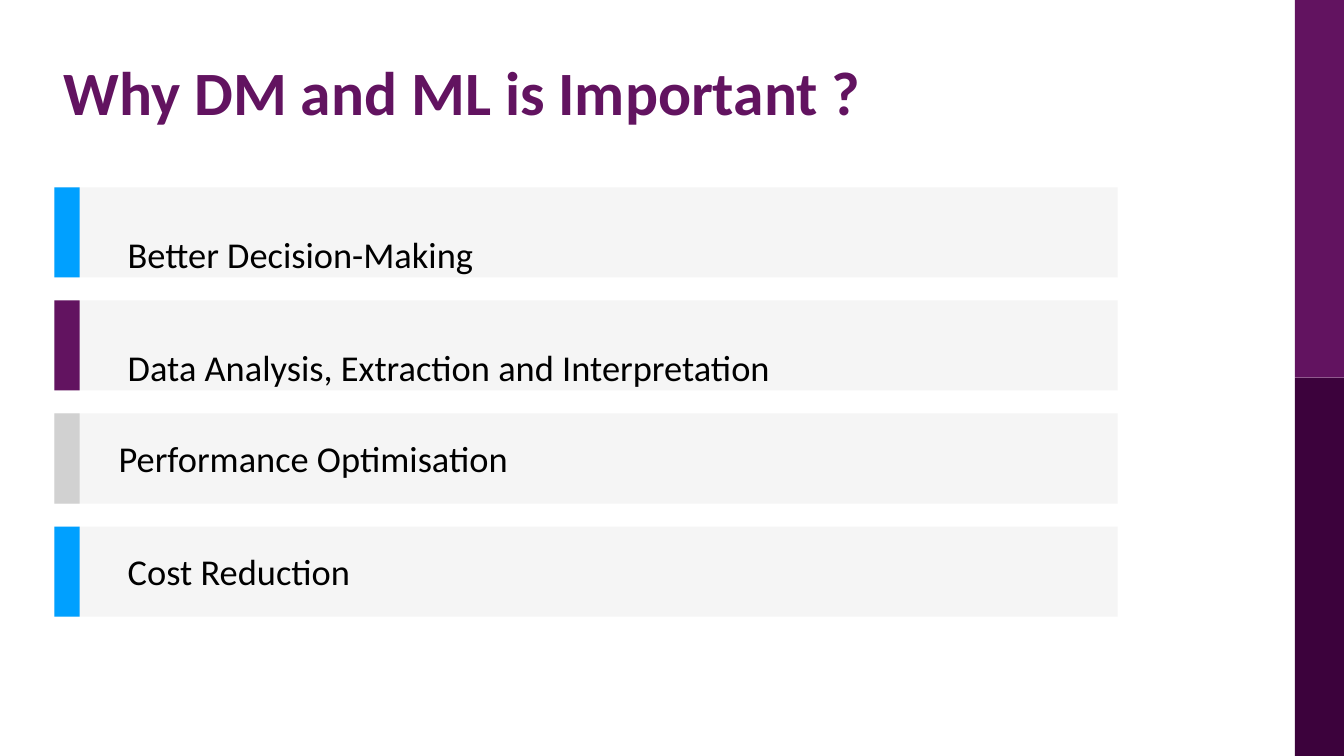
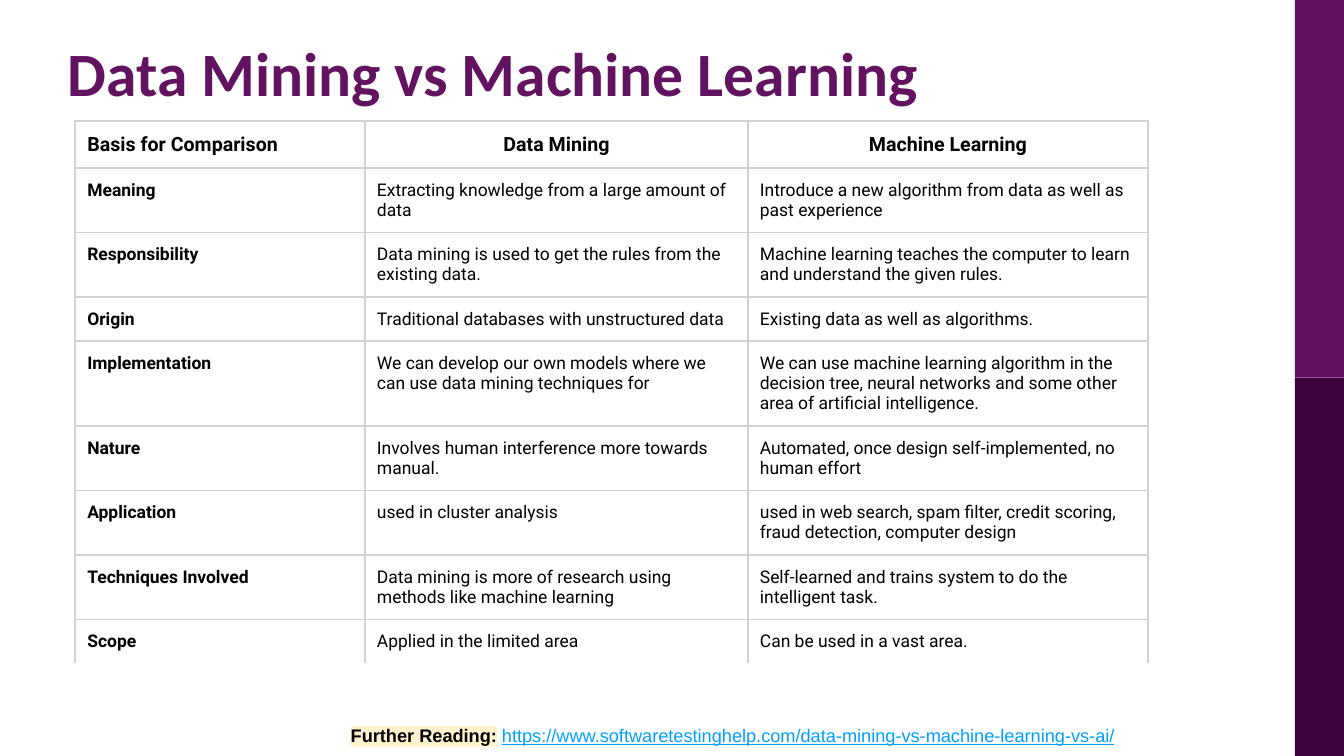
from dataclasses import dataclass

from lxml.etree import SubElement
from pptx import Presentation
from pptx.dml.color import RGBColor
from pptx.enum.shapes import MSO_SHAPE, PP_PLACEHOLDER as PH
from pptx.enum.text import MSO_ANCHOR, MSO_AUTO_SIZE, PP_ALIGN
from pptx.oxml import parse_xml
from pptx.oxml.ns import nsdecls, qn
from pptx.util import Cm, Pt


@dataclass(frozen=True)
class Theme:
    """Colours, fonts and type sizes of the deck."""
    plum: str = "621360"
    dark: str = "3C023C"
    blue: str = "00A0FF"
    grey: str = "D1D1D1"
    pale: str = "F5F5F5"
    rule: str = "D2D2D2"
    mark: str = "FFF2CC"
    white: str = "FFFFFF"
    black: str = "000000"
    font: str = "Calibri"
    table_font: str = "Roboto"
    note_font: str = "Arial"
    title: float = 44
    label: float = 26
    head: float = 14
    cell: float = 12.5
    note: float = 13


T = Theme()
WIDTH, HEIGHT = 33.87, 19.05
BAND_LEFT, BAND_SPLIT = 32.63, 9.52

REASONS = [
    ("Better Decision-Making", T.blue, 2.97, 1.12),
    ("Data Analysis, Extraction and Interpretation", T.plum, 2.97, 1.12),
    ("Performance Optimisation", T.grey, 2.74, 0.56),
    ("Cost Reduction", T.blue, 2.97, 0.56),
]
BAR_LEFT, BAR_TOP, BAR_WIDTH, BAR_HEIGHT, BAR_PITCH = 1.37, 4.72, 26.8, 2.27, 2.85
TAB_WIDTH = 0.64

HEADER = ("Basis for Comparison", "Data Mining", "Machine Learning")
COMPARISON = [
    (2, "Meaning", "Extracting knowledge from a large amount of data",
     "Introduce a new algorithm from data as well as past experience"),
    (2, "Responsibility", "Data mining is used to get the rules from the existing data.",
     "Machine learning teaches the computer to learn and understand the given rules."),
    (1, "Origin", "Traditional databases with unstructured data",
     "Existing data as well as algorithms."),
    (3, "Implementation",
     "We can develop our own models where we can use data mining techniques for",
     "We can use machine learning algorithm in the decision tree, neural networks "
     "and some other area of artificial intelligence."),
    (2, "Nature", "Involves human interference more towards manual.",
     "Automated, once design self-implemented, no human effort"),
    (2, "Application", "used in cluster analysis",
     "used in web search, spam filter, credit scoring, fraud detection, computer design"),
    (2, "Techniques Involved",
     "Data mining is more of research using methods like machine learning",
     "Self-learned and trains system to do the intelligent task."),
    (1, "Scope", "Applied in the limited area", "Can be used in a vast area."),
]
COLUMNS = (7.3, 9.65, 10.08)
HEAD_HEIGHT, LINE_HEIGHT, CELL_PAD = 1.16, 0.51, 0.59
READING = "https://www.softwaretestinghelp.com/data-mining-vs-machine-learning-vs-ai/"


def box(*lengths):
    """Turn centimetres into lengths."""
    return [Cm(v) for v in lengths]


def add_run(p, text, size, color=T.black, font=T.font, bold=False):
    """Append one formatted run."""
    r = p.add_run()
    r.text = text
    r.font.size, r.font.name, r.font.bold = Pt(size), font, bold
    r.font.color.rgb = RGBColor.from_string(color)
    return r


def highlight(r, color):
    """Put a marker colour behind a run."""
    fill = r.font.fill._xPr.find(qn("a:solidFill"))
    fill.addnext(parse_xml(f'<a:highlight {nsdecls("a")}><a:srgbClr val="{color}"/></a:highlight>'))


def add_rect(s, color, *at):
    """Draw a plain filled rectangle."""
    sp = s.shapes.add_shape(MSO_SHAPE.RECTANGLE, *box(*at))
    sp.shadow.inherit = False
    sp.fill.solid()
    sp.fill.fore_color.rgb = RGBColor.from_string(color)
    sp.line.fill.background()
    return sp


def add_text(s, *at):
    """Add a text box and return its first paragraph."""
    tf = s.shapes.add_textbox(*box(*at)).text_frame
    tf.word_wrap = True
    tf.margin_top = tf.margin_bottom = 0
    return tf.paragraphs[0]


def add_bands(s, layout):
    """Place the side bands on the layout, behind every slide."""
    for ph in list(layout.placeholders):
        if ph.placeholder_format.type != PH.TITLE:
            ph.element.getparent().remove(ph.element)
    width = WIDTH - BAND_LEFT
    bands = [
        add_rect(s, T.dark, BAND_LEFT, BAND_SPLIT, width, HEIGHT - BAND_SPLIT),
        add_rect(s, T.plum, BAND_LEFT, 0, width, BAND_SPLIT),
    ]
    for sp in bands:
        layout.shapes.element.append(sp.element)


def set_title(s, text, left, top):
    """Move and format the title placeholder."""
    sp = s.shapes.title
    sp.left, sp.top, sp.width, sp.height = box(left, top, 30.96, 3.15)
    tf = sp.text_frame
    tf.auto_size, tf.vertical_anchor = MSO_AUTO_SIZE.NONE, MSO_ANCHOR.TOP
    p = tf.paragraphs[0]
    p.alignment, p.line_spacing = PP_ALIGN.LEFT, 0.82
    add_run(p, text, T.title, T.plum, bold=True)


def set_borders(cell, sides):
    """Rule the given sides of a cell."""
    tc_pr = cell._tc.get_or_add_tcPr()
    for side in sides:
        ln = SubElement(tc_pr, qn(f"a:ln{side}"), w=str(Pt(1.5)))
        SubElement(SubElement(ln, qn("a:solidFill")), qn("a:srgbClr"), val=T.rule)


def fill_cell(cell, text, size, bold, align, sides):
    """Write and format one table cell."""
    set_borders(cell, sides)
    cell.fill.solid()
    cell.fill.fore_color.rgb = RGBColor.from_string(T.white)
    cell.margin_left = cell.margin_right = cell.margin_top = cell.margin_bottom = Cm(0.3)
    p = cell.text_frame.paragraphs[0]
    p.alignment = align
    add_run(p, text, size, font=T.table_font, bold=bold)


def add_reasons(s):
    """Stack the labelled bars."""
    for i, (text, color, left, drop) in enumerate(REASONS):
        top = BAR_TOP + i * BAR_PITCH
        add_rect(s, T.pale, BAR_LEFT, top, BAR_WIDTH, BAR_HEIGHT)
        add_rect(s, color, BAR_LEFT, top, TAB_WIDTH, BAR_HEIGHT)
        add_run(add_text(s, left, top + drop, 24.5, 1.12), text, T.label)


def add_comparison(s):
    """Build the comparison table."""
    heights = [HEAD_HEIGHT] + [n * LINE_HEIGHT + CELL_PAD for n, *_ in COMPARISON]
    rows = [HEADER] + [texts for _, *texts in COMPARISON]
    table = s.shapes.add_table(len(rows), len(COLUMNS),
                               *box(1.9, 3.05, sum(COLUMNS), sum(heights))).table
    table.first_row = table.horz_banding = False
    for col, width in zip(table.columns, COLUMNS):
        col.width = Cm(width)
    for i, (texts, height) in enumerate(zip(rows, heights)):
        table.rows[i].height = Cm(height)
        sides = "LRT" if i == len(rows) - 1 else "LRTB"
        for j, text in enumerate(texts):
            fill_cell(table.cell(i, j), text, T.cell if i else T.head, i == 0 or j == 0,
                      PP_ALIGN.CENTER if i == 0 and j else PP_ALIGN.LEFT, sides)


def add_reading(s):
    """Add the further reading line."""
    p = add_text(s, 8.59, 18.26, 23.6, 0.6)
    highlight(add_run(p, "Further Reading:", T.note, font=T.note_font, bold=True), T.mark)
    add_run(p, " ", T.note, font=T.note_font)
    add_run(p, READING, T.note, T.blue, T.note_font).font.underline = True


def main():
    """Build and save the deck."""
    prs = Presentation()
    prs.slide_width, prs.slide_height = box(WIDTH, HEIGHT)
    layout = prs.slide_layouts[5]

    s = prs.slides.add_slide(layout)
    add_bands(s, layout)
    set_title(s, "Why DM and ML is Important ?", 1.35, 1.55)
    add_reasons(s)

    s = prs.slides.add_slide(layout)
    set_title(s, "Data Mining vs Machine Learning", 1.45, 1.09)
    add_comparison(s)
    add_reading(s)
    prs.save("out.pptx")


if __name__ == "__main__":
    main()
